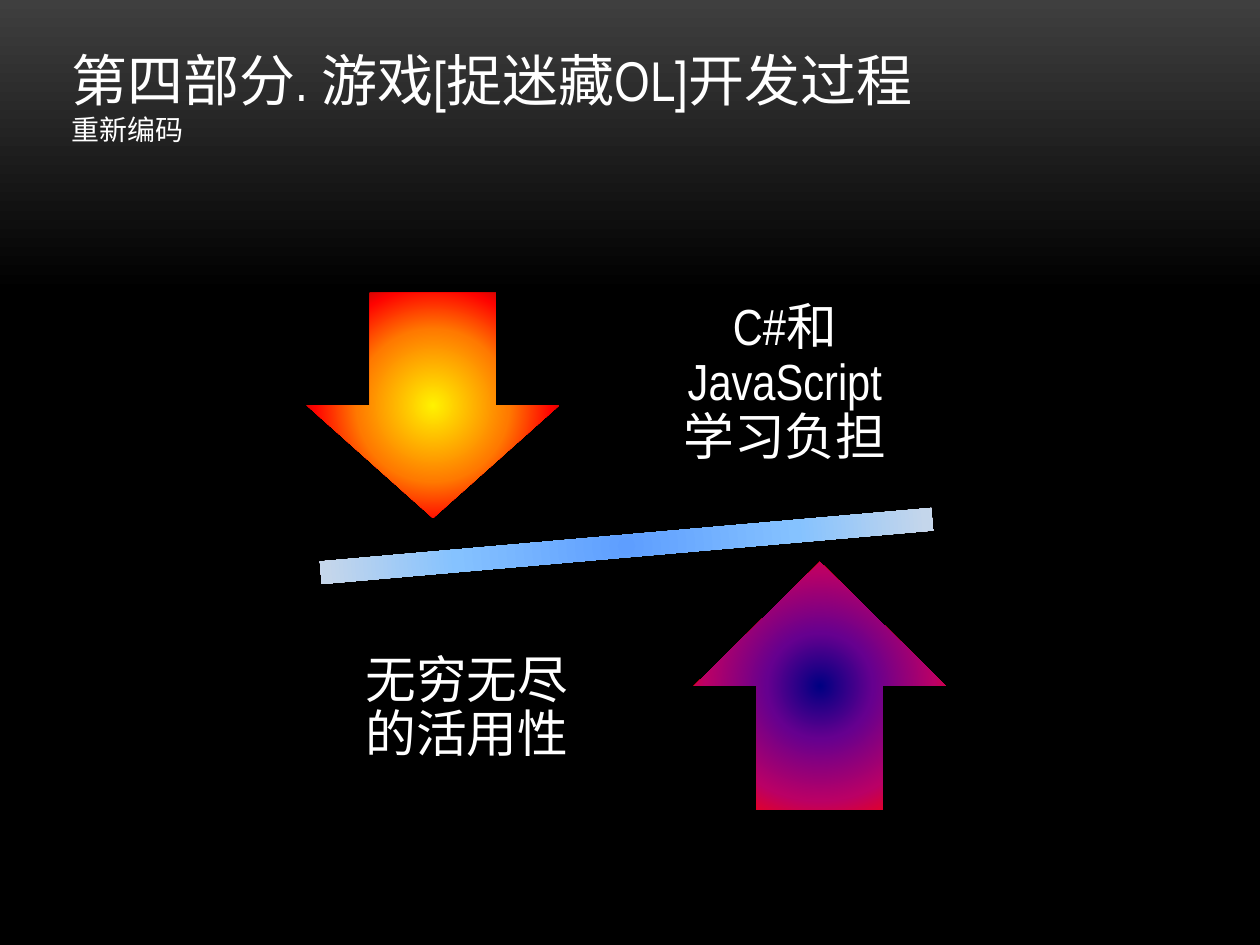
from lxml import etree
from pptx import Presentation
from pptx import util as u
from pptx.dml.color import RGBColor
from pptx.enum import shapes, text
from pptx.oxml.ns import qn

PX = 914400 / 126
FONT = "Arial Narrow"
COLOURS = {"text": "FFFFFF"}
GRADIENTS = {
    "backdrop": [(0, "3F3F3F"), (31, "000000"), (100, "000000")],
    "beam": [(0, "5E9EFF"), (40, "85C2FF"), (70, "C4D6EB"), (100, "FFEBFA")],
    "fire": [(0, "FFF200"), (45, "FF7A00"), (70, "FF0300"), (100, "4D0808")],
    "dusk": [(0, "000082"), (30, "66008F"), (65, "BA0066"), (90, "FF0000"),
             (100, "FF8200")],
}


def px(length):
    return u.Emu(round(length * PX))


def paint_gradient(fill, parent, stops, radial=True):
    """Give the element a gradient from the centre out, or from top to bottom."""
    fill.solid()
    solid = parent.find(qn("a:solidFill"))
    gradient = etree.Element(qn("a:gradFill"), rotWithShape="1")
    stop_list = etree.SubElement(gradient, qn("a:gsLst"))
    for percent, colour in stops:
        stop = etree.SubElement(stop_list, qn("a:gs"), pos=str(percent * 1000))
        etree.SubElement(stop, qn("a:srgbClr"), val=colour)
    if radial:
        way = etree.SubElement(gradient, qn("a:path"), {"path": "circle"})
        etree.SubElement(way, qn("a:fillToRect"),
                         dict.fromkeys("ltrb", "50000"))
    else:
        etree.SubElement(gradient, qn("a:lin"), ang="5400000", scaled="0")
    parent.replace(solid, gradient)


class SlideBuilder:
    def __init__(self, deck):
        self.slide = deck.slides.add_slide(deck.slide_layouts[5])

    def background(self, gradient):
        fill = self.slide.background.fill
        fill.solid()
        properties = self.slide.element.find(".//" + qn("p:bgPr"))
        paint_gradient(fill, properties, GRADIENTS[gradient], radial=False)

    def style(self, paragraph, size, align):
        paragraph.alignment = align
        paragraph.font.size = u.Pt(size)
        paragraph.font.name = FONT
        paragraph.font.color.rgb = RGBColor.from_string(COLOURS["text"])

    def title(self, box, lines):
        title = self.slide.shapes.title
        title.left, title.top, title.width, title.height = map(px, box)
        frame = title.text_frame
        frame.text = "\n".join(line for line, _ in lines)
        frame.vertical_anchor = text.MSO_ANCHOR.TOP
        frame.auto_size = text.MSO_AUTO_SIZE.SHAPE_TO_FIT_TEXT
        for paragraph, (_, size) in zip(frame.paragraphs, lines):
            self.style(paragraph, size, text.PP_ALIGN.LEFT)

    def shape(self, kind, box, gradient, rotation=0):
        shape = self.slide.shapes.add_shape(kind, *map(px, box))
        shape.rotation = rotation
        shape.shadow.inherit = False
        shape.line.fill.background()
        paint_gradient(shape.fill, shape.element.spPr, GRADIENTS[gradient])

    def label(self, box, words):
        frame = self.slide.shapes.add_textbox(*map(px, box)).text_frame
        frame.word_wrap = True
        frame.vertical_anchor = text.MSO_ANCHOR.MIDDLE
        frame.margin_left = frame.margin_right = px(29)
        frame.margin_top = frame.margin_bottom = px(29)
        paragraph = frame.paragraphs[0]
        paragraph.text = words
        paragraph.line_spacing = 0.9
        self.style(paragraph, 29, text.PP_ALIGN.CENTER)


def main():
    deck = Presentation()
    deck.slide_width, deck.slide_height = px(1260), px(945)
    seesaw = SlideBuilder(deck)
    seesaw.background("backdrop")
    seesaw.title((59, 39, 1131, 115),
                 [("第四部分. 游戏[捉迷藏OL]开发过程", 32), ("重新编码", 16)])

    kinds = shapes.MSO_SHAPE
    seesaw.shape(kinds.MATH_MINUS, (209, 498, 835, 96), "beam", rotation=355)
    seesaw.shape(kinds.DOWN_ARROW, (307, 293, 252, 225), "fire")
    seesaw.label((651, 266, 268, 236), "C#和 JavaScript 学习负担")
    seesaw.shape(kinds.UP_ARROW, (694, 562, 252, 248), "dusk")
    seesaw.label((333, 591, 268, 236), "无穷无尽的活用性")
    deck.save("out.pptx")


if __name__ == "__main__":
    main()
